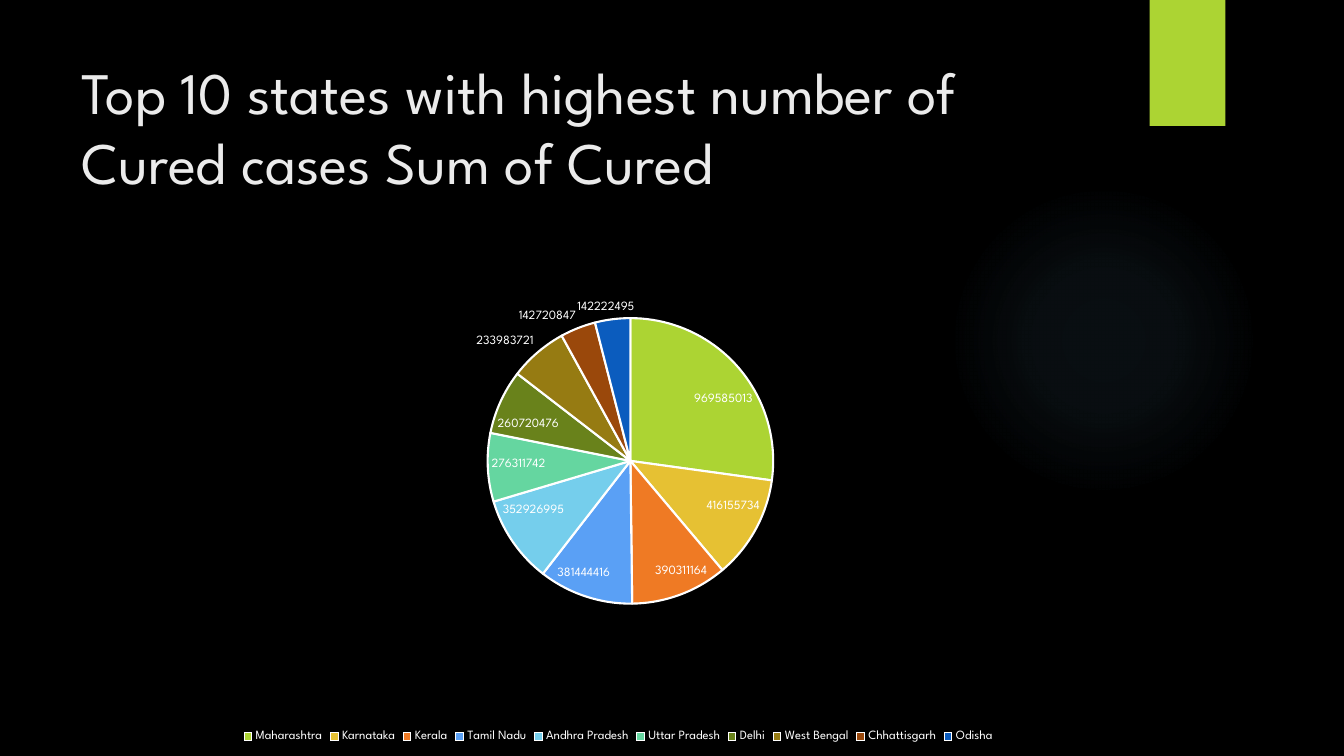
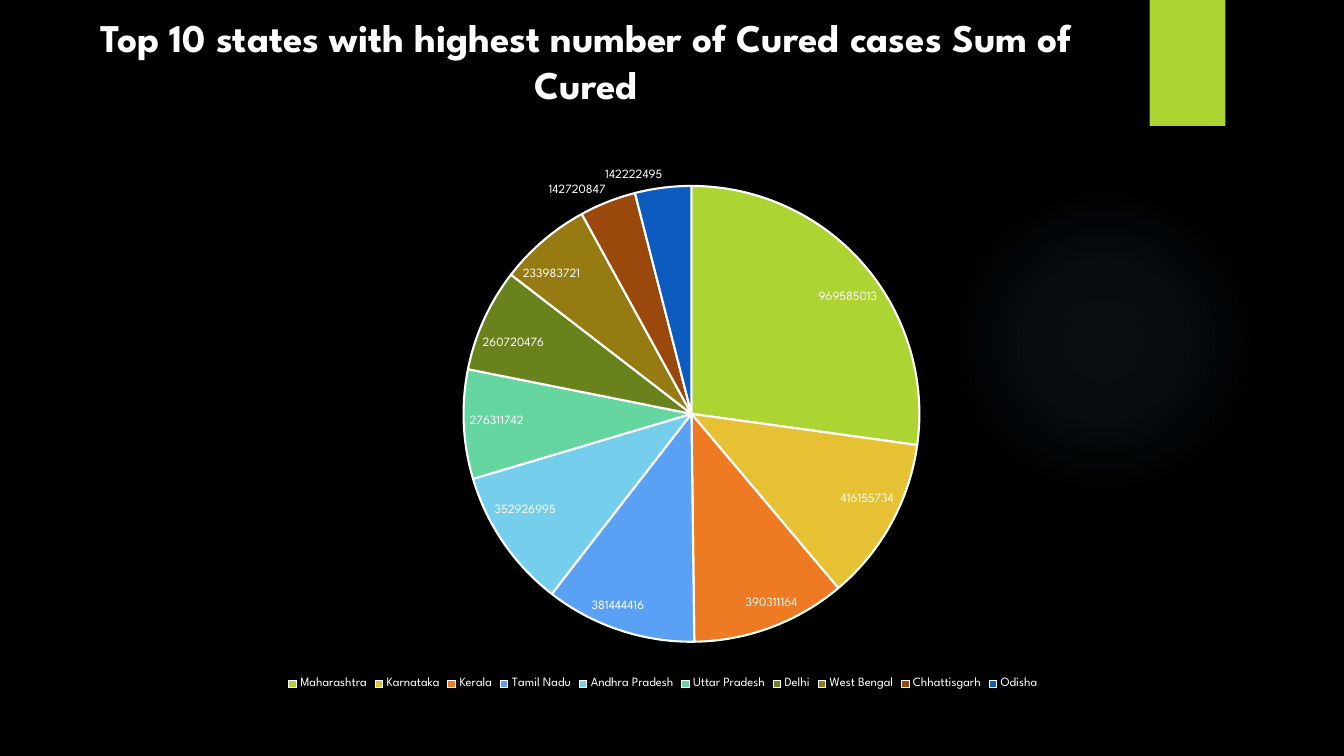
from collections import namedtuple

from lxml import etree
from pptx import Presentation
from pptx import util as u
from pptx.chart import data as chart_data
from pptx.dml.color import RGBColor
from pptx.enum import chart as charts, shapes, text
from pptx.oxml import parse_xml
from pptx.oxml.ns import nsdecls, qn

Theme = namedtuple("Theme", "font back accent glow shadow heading white slices title bold_title label base")
theme = Theme(
    font="League Spartan", back="000000", accent="ACD433", glow="7AC4F0",
    shadow="000000", heading="EBEBEB", white="FFFFFF",
    slices=["ACD433", "E6C133", "EF7A24", "5AA0F5", "75CEEC",
            "65D6A0", "69821B", "967B12", "9A480B", "0B5CBE"],
    title=42, bold_title=28, label=9, base=10,
)
PX = 9525
HEADING = "Top 10 states with highest number of Cured cases Sum of Cured"
CURED = {
    "Maharashtra": 969585013,
    "Karnataka": 416155734,
    "Kerala": 390311164,
    "Tamil Nadu": 381444416,
    "Andhra Pradesh": 352926995,
    "Uttar Pradesh": 276311742,
    "Delhi": 260720476,
    "West Bengal": 233983721,
    "Chhattisgarh": 142720847,
    "Odisha": 142222495,
}


def px(*lengths):
    return [u.Emu(length * PX) for length in lengths]


def style(font, size, color=theme.white, bold=False):
    font.name = theme.font
    font.size = u.Pt(size)
    font.bold = bold
    font.color.rgb = RGBColor.from_string(color)


deck = Presentation()
deck.slide_width, deck.slide_height = px(1280, 720)
master = deck.slide_master
master.background.fill.solid()
master.background.fill.fore_color.rgb = RGBColor.from_string(theme.back)
layout = deck.slide_layouts.get_by_name("Title Only")
pages = [deck.slides.add_slide(layout) for _ in range(2)]

glow = pages[0].shapes.add_shape(shapes.MSO_SHAPE.OVAL, *px(903, 176, 296, 296))
tab = pages[0].shapes.add_shape(shapes.MSO_SHAPE.RECTANGLE, *px(1095, 0, 72, 120))
for shape in (glow, tab):
    shape.shadow.inherit = False
    shape.line.fill.background()
    shape.fill.solid()
    shape.fill.fore_color.rgb = RGBColor.from_string(theme.accent)
    master.shapes.element.append(shape.element)

stops = "".join(
    f'<a:gs pos="{place * 1000}"><a:srgbClr val="{theme.glow}">'
    f'<a:alpha val="{alpha * 1000}"/></a:srgbClr></a:gs>'
    for place, alpha in ((0, 7), (36, 6), (69, 0), (100, 0))
)
solid = glow.element.spPr.find(qn("a:solidFill"))
solid.getparent().replace(solid, parse_xml(
    f'<a:gradFill {nsdecls("a")}><a:gsLst>{stops}</a:gsLst><a:path path="circle">'
    '<a:fillToRect l="50000" t="50000" r="50000" b="50000"/></a:path></a:gradFill>'
))
tab.element.spPr.find(qn("a:effectLst")).append(parse_xml(
    f'<a:outerShdw {nsdecls("a")} blurRad="{u.Pt(3)}" dist="{u.Pt(2)}" dir="5400000">'
    f'<a:srgbClr val="{theme.shadow}"><a:alpha val="45000"/></a:srgbClr></a:outerShdw>'
))

slides = [
    dict(title=(68, 48, 988, 147), align=text.PP_ALIGN.LEFT,
         font=dict(size=theme.title, color=theme.heading),
         chart=(16, 167, 1146, 544), plot=dict(x=0.3, y=0.25, w=0.42, h=0.5)),
    dict(title=(64, 8, 988, 147), align=text.PP_ALIGN.CENTER,
         font=dict(size=theme.bold_title, bold=True),
         chart=(99, 148, 1065, 513), plot=None),
]

for page, spec_row in zip(pages, slides):
    title = page.shapes.title
    title.left, title.top, title.width, title.height = px(*spec_row["title"])
    frame = title.text_frame
    frame.word_wrap = True
    frame.auto_size = text.MSO_AUTO_SIZE.NONE
    frame.vertical_anchor = text.MSO_ANCHOR.TOP
    para = frame.paragraphs[0]
    para.alignment = spec_row["align"]
    span = para.add_run()
    span.text = HEADING
    style(span.font, **spec_row["font"])

    table = chart_data.CategoryChartData()
    table.categories = list(CURED)
    table.add_series("Series 1", list(CURED.values()))
    chart = page.shapes.add_chart(
        charts.XL_CHART_TYPE.PIE, *px(*spec_row["chart"]), table).chart
    style(chart.font, theme.base)
    chart.has_title = False
    chart.has_legend = True
    chart.legend.position = charts.XL_LEGEND_POSITION.BOTTOM
    chart.legend.include_in_layout = False
    style(chart.legend.font, theme.label)

    pie = chart.plots[0]
    pie.vary_by_categories = True
    series = pie.series[0]
    for index, color in enumerate(theme.slices):
        slice_format = series.points[index].format
        slice_format.fill.solid()
        slice_format.fill.fore_color.rgb = RGBColor.from_string(color)
        slice_format.line.color.rgb = RGBColor.from_string(theme.white)
        slice_format.line.width = u.Pt(1.5)
    labels = series.data_labels
    labels.show_value = True
    labels.position = charts.XL_LABEL_POSITION.BEST_FIT
    style(labels.font, theme.label)

    if spec_row["plot"]:
        area = chart.element.find(".//" + qn("c:plotArea"))
        for old in area.findall(qn("c:layout")):
            area.remove(old)
        placement = etree.Element(qn("c:layout"))
        manual = etree.SubElement(placement, qn("c:manualLayout"))
        settings = dict(layoutTarget="inner", xMode="edge", yMode="edge", **spec_row["plot"])
        for name, value in settings.items():
            etree.SubElement(manual, qn("c:" + name), val=str(value))
        area.insert(0, placement)

deck.save("out.pptx")
